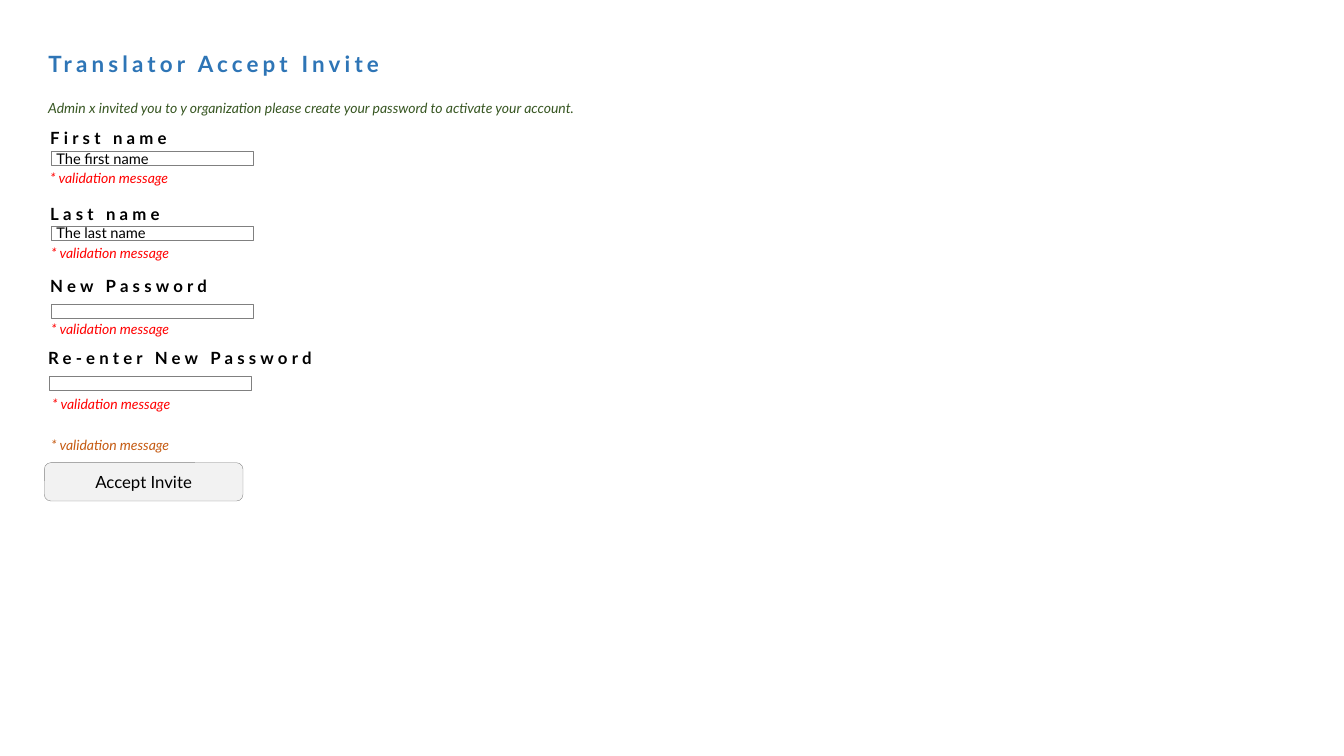
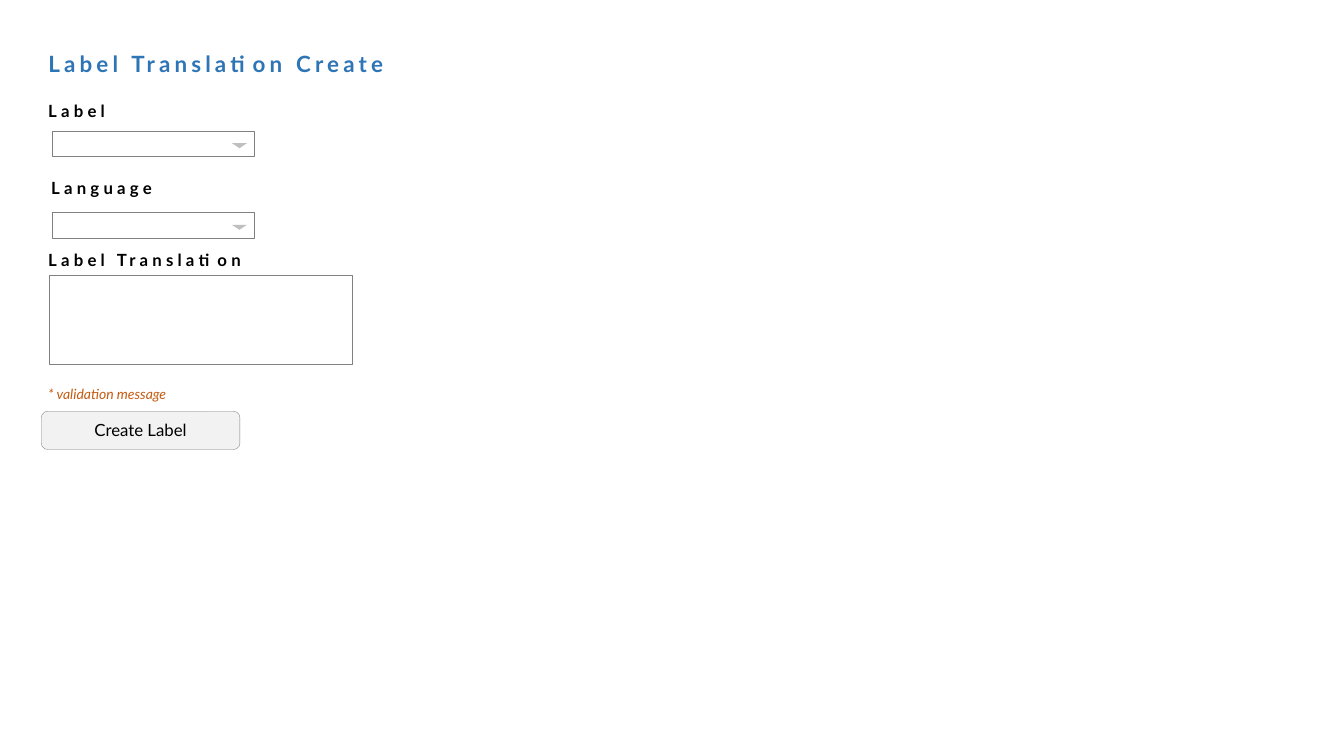
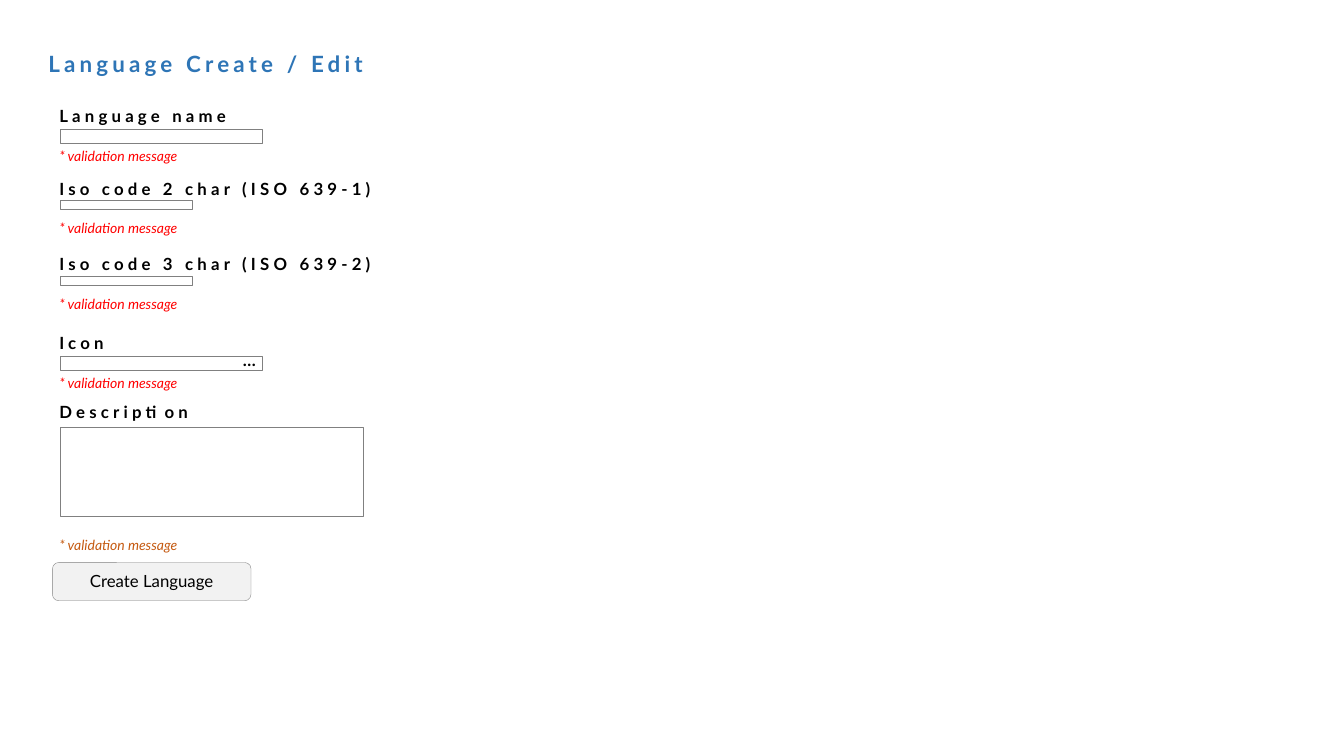
from pptx import Presentation
from pptx.dml.color import RGBColor
from pptx.enum.shapes import MSO_SHAPE as Preset
from pptx.enum.text import MSO_ANCHOR as Anchor, MSO_AUTO_SIZE as AutoSize, PP_ALIGN as Align
from pptx.oxml.ns import qn
from pptx.util import Inches, Pt

FONT = "Lato"
BLACK = RGBColor(0x00, 0x00, 0x00)
WHITE = RGBColor(0xFF, 0xFF, 0xFF)
BLUE = RGBColor(0x2E, 0x75, 0xB6)
GREEN = RGBColor(0x38, 0x57, 0x23)
RED = RGBColor(0xFF, 0x00, 0x00)
ORANGE = RGBColor(0xC5, 0x5A, 0x11)
OUTLINE = RGBColor(0x80, 0x80, 0x80)
BUTTON_FILL = RGBColor(0xF2, 0xF2, 0xF2)
ARROW_FILL = RGBColor(0xBF, 0xBF, 0xBF)

STYLES = {
    "title": {"size": 16, "color": BLUE, "bold": True, "spacing": 3},
    "label": {"size": 12, "color": BLACK, "bold": True, "spacing": 3},
    "intro": {"size": 10, "color": GREEN, "italic": True},
    "error": {"size": 10, "color": RED, "italic": True},
    "notice": {"size": 10, "color": ORANGE, "italic": True},
    "value": {"size": 10.5, "color": BLACK},
    "button": {"size": 12, "color": BLACK},
}
TEXT_INSETS = (0.1, 0.02, 0.1, 0.03)
VALUE_INSETS = (0.05, 0.02, 0.05, 0.02)
BUTTON_INSETS = (0.1, 0, 0.1, 0.01)

INPUT_SIZES = {
    "line": (2, 0.14),
    "code": (1.31, 0.09),
    "browse": (2, 0.14),
    "dropdown": (2, 0.25),
    "area": (3, 0.88),
}
BUTTON_SIZE = (1.97, 0.38)
ARROW_SIZE = (0.15, 0.05)
LABEL_HEIGHT, MESSAGE_HEIGHT, TEXT_WIDTH, CODE_LABEL_WIDTH = 0.25, 0.22, 3, 3.66
MESSAGE = "* validation message"

FORMS = [
    {
        "title": ("Translator Accept Invite", 4.36),
        "intro": "Admin x invited you to y organization please create your password to activate your account.",
        "fields": [
            {"label": ("First name", 0.4, 1.25), "input": ("line", 0.51, 1.5),
             "value": "The first name", "error": (0.4, 1.66)},
            {"label": ("Last name", 0.4, 2), "input": ("line", 0.51, 2.24),
             "value": "The last name", "error": (0.41, 2.4)},
            {"label": ("New Password", 0.4, 2.72), "input": ("line", 0.51, 3.02), "error": (0.41, 3.16)},
            {"label": ("Re-enter New Password", 0.38, 3.43), "input": ("line", 0.49, 3.73),
             "error": (0.42, 3.9)},
        ],
        "button": ("Accept Invite", 0.44, 4.59),
    },
    {
        "title": ("Label Translation Create", 4.69),
        "fields": [
            {"label": ("Label", 0.38, 0.98), "input": ("dropdown", 0.52, 1.3)},
            {"label": ("Language", 0.41, 1.74), "input": ("dropdown", 0.52, 2.11)},
            {"label": ("Label Translation", 0.38, 2.46), "input": ("area", 0.49, 2.73)},
        ],
        "button": ("Create Label", 0.41, 4.08),
    },
    {
        "title": ("Language Create / Edit", 5.72),
        "fields": [
            {"label": ("Language name", 0.49, 1.03), "input": ("line", 0.6, 1.28), "error": (0.49, 1.44)},
            {"label": ("Iso code 2 char (ISO 639-1)", 0.49, 1.75), "input": ("code", 0.6, 1.99),
             "error": (0.49, 2.16)},
            {"label": ("Iso code 3 char (ISO 639-2)", 0.49, 2.5), "input": ("code", 0.6, 2.74),
             "error": (0.49, 2.91)},
            {"label": ("Icon", 0.49, 3.28), "input": ("browse", 0.6, 3.53), "error": (0.49, 3.69)},
            {"label": ("Description", 0.49, 3.97), "input": ("area", 0.6, 4.24)},
        ],
        "button": ("Create Language", 0.52, 5.58),
    },
]


def write(box, text, style, insets=TEXT_INSETS, align=Align.LEFT, wrap=True, auto_size=AutoSize.NONE):
    frame = box.text_frame
    margins = dict(zip(("margin_left", "margin_top", "margin_right", "margin_bottom"), map(Inches, insets)))
    layout = {"vertical_anchor": Anchor.MIDDLE, "word_wrap": wrap, "auto_size": auto_size}
    for name, setting in {**margins, **layout}.items():
        setattr(frame, name, setting)
    para = frame.paragraphs[0]
    para.alignment = align
    span = para.add_run()
    span.text = text
    look = STYLES[style]
    face = {"name": FONT, "size": Pt(look["size"]),
            "bold": look.get("bold", False), "italic": look.get("italic", False)}
    for name, setting in face.items():
        setattr(span.font, name, setting)
    span.font.color.rgb = look["color"]
    if "spacing" in look:
        for properties in box.element.iter(qn("a:rPr")):
            properties.set("spc", str(look["spacing"] * 100))


def add_text(page, text, style, left, top, width, height):
    box = page.shapes.add_textbox(*map(Inches, (left, top, width, height)))
    write(box, text, style, auto_size=AutoSize.SHAPE_TO_FIT_TEXT)


def add_box(shapes, preset, left, top, size, fill, outlined=True):
    box = shapes.add_shape(preset, *map(Inches, (left, top, *size)))
    box.shadow.inherit = False
    box.fill.solid()
    box.fill.fore_color.rgb = fill
    if outlined:
        box.line.color.rgb = OUTLINE
        box.line.width = Pt(0.25)
    else:
        box.line.fill.background()
    return box


def add_title(page, text, width):
    title = page.shapes.title
    place = {"left": 0.38, "top": 0.48, "width": width, "height": 0.32}
    for name, length in place.items():
        setattr(title, name, Inches(length))
    write(title, text, "title", auto_size=AutoSize.SHAPE_TO_FIT_TEXT)


def add_input(page, kind, left, top, value):
    size = INPUT_SIZES[kind]
    shapes = page.shapes.add_group_shape().shapes if kind == "dropdown" else page.shapes
    box = add_box(shapes, Preset.RECTANGLE, left, top, size, WHITE)
    if value:
        write(box, value, "value", VALUE_INSETS, wrap=False)
    if kind == "dropdown":
        arrow = add_box(shapes, Preset.ISOSCELES_TRIANGLE, left + 1.78, top + 0.12, ARROW_SIZE,
                        ARROW_FILL, outlined=False)
        arrow.rotation = 180
    if kind == "browse":
        add_text(page, "…", "label", left + 1.71, top - 0.08, 0.38, LABEL_HEIGHT)


def add_field(page, field):
    text, left, top = field["label"]
    kind = field["input"][0]
    width = CODE_LABEL_WIDTH if kind == "code" else TEXT_WIDTH
    add_text(page, text, "label", left, top, width, LABEL_HEIGHT)
    add_input(page, *field["input"], field.get("value"))
    if "error" in field:
        add_text(page, MESSAGE, "error", *field["error"], TEXT_WIDTH, MESSAGE_HEIGHT)


def add_submit(page, text, left, top):
    add_text(page, MESSAGE, "notice", left - 0.03, top - 0.28, TEXT_WIDTH, MESSAGE_HEIGHT)
    button = add_box(page.shapes, Preset.ROUNDED_RECTANGLE, left, top, BUTTON_SIZE, BUTTON_FILL)
    write(button, text, "button", BUTTON_INSETS, Align.CENTER)


def main():
    deck = Presentation()
    deck.slide_width, deck.slide_height = Inches(13.33), Inches(7.5)
    for form in FORMS:
        page = deck.slides.add_slide(deck.slide_layouts[5])
        add_title(page, *form["title"])
        if "intro" in form:
            add_text(page, form["intro"], "intro", 0.38, 0.97, 6.68, MESSAGE_HEIGHT)
        for field in form["fields"]:
            add_field(page, field)
        add_submit(page, *form["button"])
    deck.save("out.pptx")


if __name__ == "__main__":
    main()
